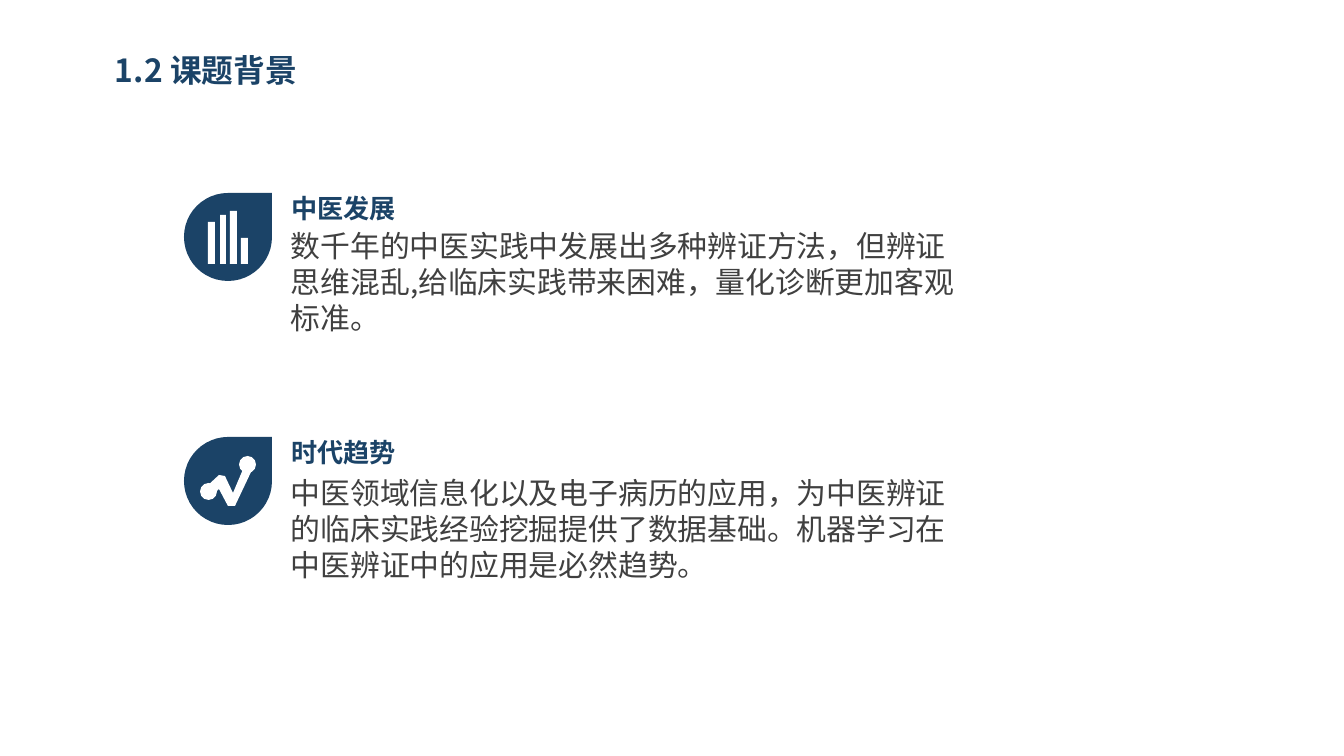
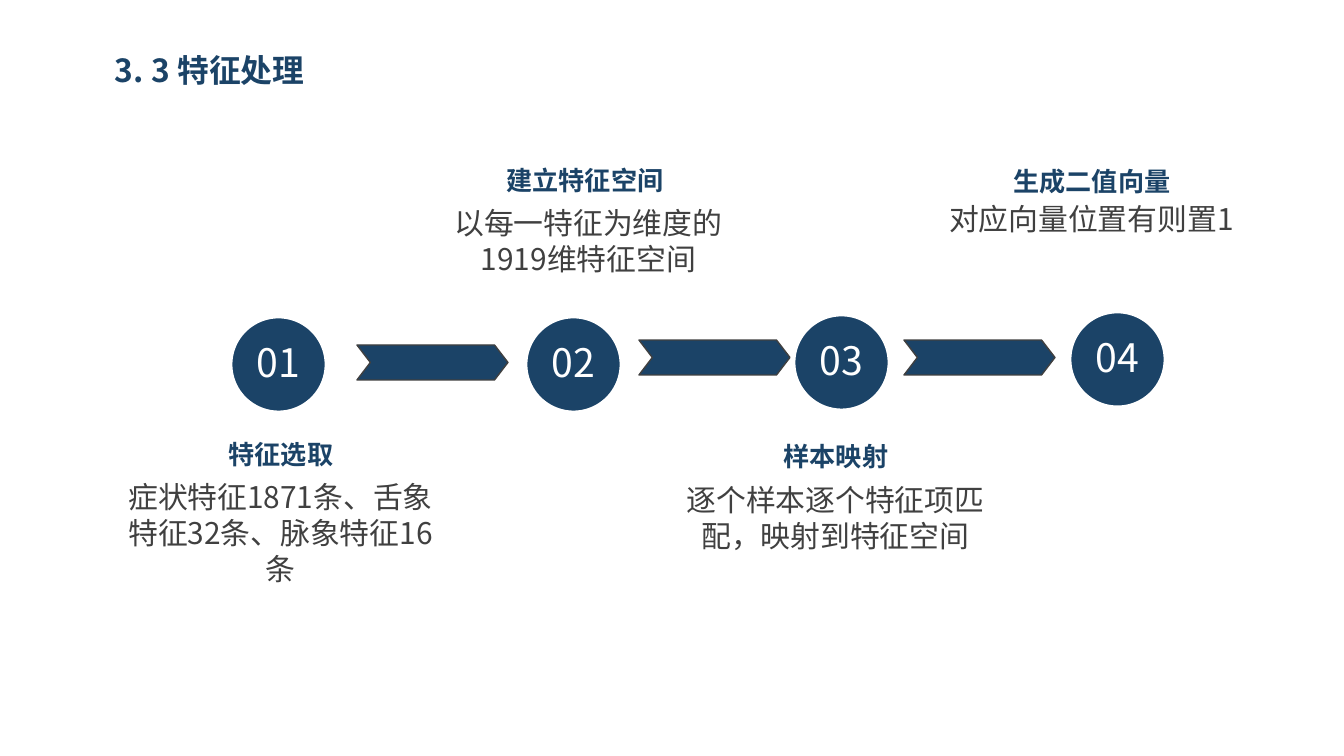
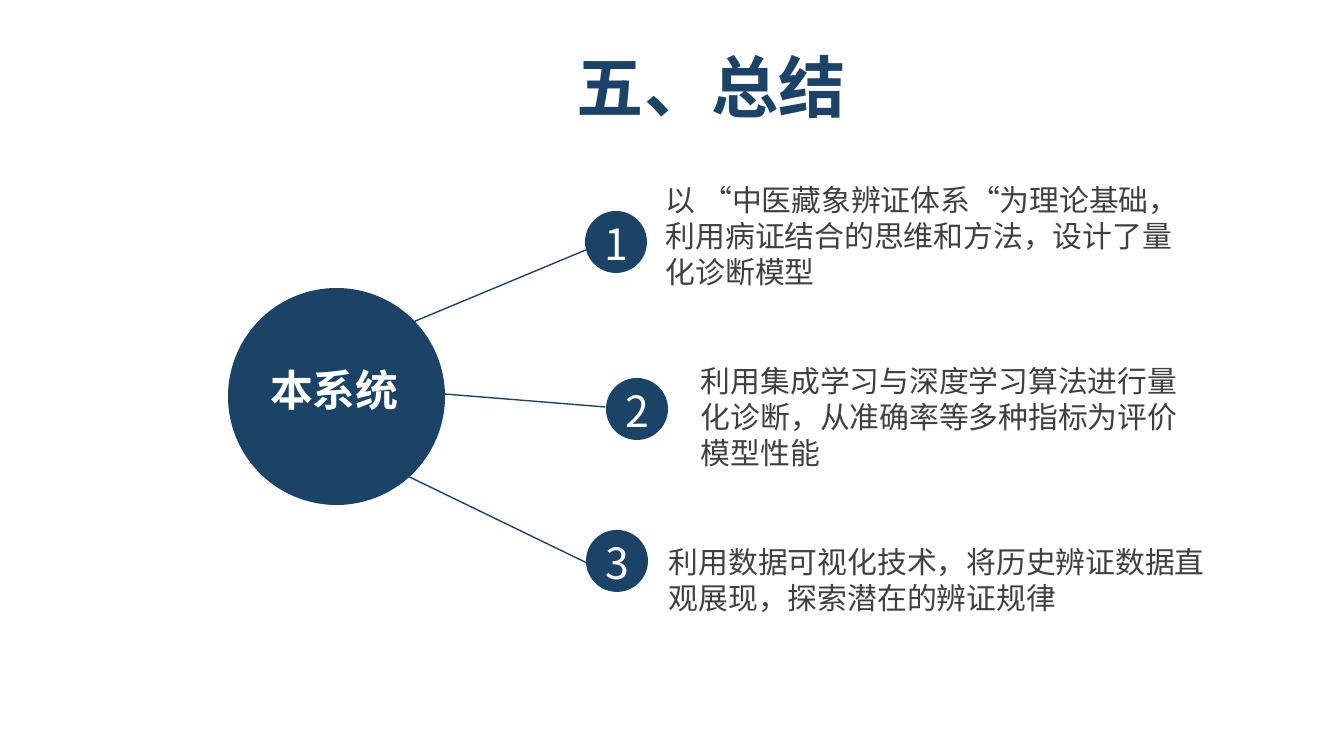
from dataclasses import dataclass
from lxml.etree import SubElement
from pptx import Presentation
from pptx.dml.color import RGBColor as Color
from pptx.enum.shapes import MSO_CONNECTOR as Link, MSO_SHAPE as Kind
from pptx.enum.text import MSO_ANCHOR as Anchor, PP_ALIGN as Align
from pptx.oxml.ns import qn
from pptx.util import Pt


@dataclass(frozen=True)
class Theme:
    font: str = "Noto Sans CJK SC"
    navy: str = "1B4367"
    grey: str = "404040"
    white: str = "FFFFFF"
    cover: int = 36
    mark: int = 23
    step: int = 21
    title: int = 17
    body: int = 16
    label: int = 14


theme = Theme()
SCALE = 914400 / 134.4
SNUG = (10, 5)
ROOMY = (13, 7)


def px(*sizes):
    return [round(size * SCALE) for size in sizes]


def shape(parts, kind, box, fill=theme.navy, line=None, width=0.75):
    item = parts.add_shape(kind, *px(*box))
    item.shadow.inherit = False
    item.fill.solid()
    item.fill.fore_color.rgb = Color.from_string(fill)
    if line:
        item.line.color.rgb = Color.from_string(line)
        item.line.width = Pt(width)
    else:
        item.line.fill.background()
    return item


def write(item, words, size, color, bold=False, align=Align.LEFT, pad=SNUG, wrap=True, lead=None):
    frame = item.text_frame
    frame.word_wrap = wrap
    frame.margin_left = frame.margin_right = px(pad[0])[0]
    frame.margin_top = frame.margin_bottom = px(pad[1])[0]
    para = frame.paragraphs[0]
    para.alignment = align
    if lead:
        para.line_spacing = lead
    run = para.add_run()
    run.text = words
    run.font.size = Pt(size)
    run.font.bold = bold
    run.font.color.rgb = Color.from_string(color)
    run.font.name = theme.font
    SubElement(run._r.get_or_add_rPr(), qn("a:ea"), typeface=theme.font)


def text(parts, box, words, size, color, **look):
    write(parts.add_textbox(*px(*box)), words, size, color, **look)


def title(slide, words):
    text(slide.shapes, (105, 46, 332, 48), words, theme.title, theme.navy, bold=True)


def bars(parts, left, top):
    for x, y, wide in ((24, 29, 7), (36, 22, 6), (46, 18, 7), (57, 45, 7)):
        shape(parts, Kind.RECTANGLE, (left + x, top + y, wide, 71 - y), theme.white)


def trend(parts, left, top):
    spots = ((22, 50), (35, 38), (41, 39), (49, 56), (60, 30),
             (68, 33), (51, 69), (44, 69), (35, 52), (28, 59))
    first, *rest = [(left + x, top + y) for x, y in spots]
    path = parts.build_freeform(*first, scale=SCALE)
    path.add_line_segments(rest, close=True)
    line = path.convert_to_shape()
    line.shadow.inherit = False
    line.fill.solid()
    line.fill.fore_color.rgb = Color.from_string(theme.white)
    line.line.fill.background()
    for x, y in ((16, 46), (55, 19)):
        shape(parts, Kind.OVAL, (left + x, top + y, 17, 17), theme.white)


def topic(slide, left, top, icon, head, words, drop):
    parts = slide.shapes.add_group_shape().shapes
    shape(parts, Kind.TEAR, (left, top, 88, 88))
    icon(parts, left, top)
    text(slide.shapes, (left + 97, top - 18, 293, 42), head,
         theme.label, theme.navy, bold=True, lead=1.4)
    text(slide.shapes, (left + 97, top + drop, 696, 133), words, theme.body, theme.grey)


def node(slide, left, top, number):
    disc = shape(slide.shapes, Kind.OVAL, (left, top, 95, 95), line=theme.white, width=1.5)
    disc.text_frame.vertical_anchor = Anchor.MIDDLE
    write(disc, number, theme.step, theme.white, align=Align.CENTER, pad=(0, 0), wrap=False, lead=0.9)


def note(slide, mid, left, top, drop, head, words):
    wide = 27 * len(head) + 24
    text(slide.shapes, (mid - wide / 2, top, wide, 42), head, theme.label, theme.navy,
         bold=True, align=Align.CENTER, wrap=False)
    text(slide.shapes, (left, top + drop, 333, 82), words, theme.body, theme.grey, align=Align.CENTER)


def arrow(slide, left, top):
    item = shape(slide.shapes, Kind.CHEVRON, (left, top, 151, 35), line=theme.grey)
    item.adjustments[0] = 0.384


def spoke(slide, *ends):
    line = slide.shapes.add_connector(Link.STRAIGHT, *px(*ends))
    line.line.color.rgb = Color.from_string(theme.navy)
    line.line.width = Pt(0.75)
    SubElement(line._element.spPr, qn("a:effectLst"))


def badge(slide, left, top, number):
    parts = slide.shapes.add_group_shape().shapes
    shape(parts, Kind.OVAL, (left, top, 62, 62))
    text(parts, (left + 1, top, 60, 66), number, theme.mark, theme.white,
         align=Align.CENTER, pad=ROOMY)


def hub(slide, left, top, words):
    parts = slide.shapes.add_group_shape().shapes
    shape(parts, Kind.OVAL, (left, top, 217, 217))
    text(parts, (left - 2, top + 69, 217, 66), words, theme.mark, theme.white,
         bold=True, align=Align.CENTER, pad=ROOMY)


def context(slide):
    title(slide, "1.2 课题背景")
    topic(slide, 184, 193, bars, "中医发展",
          "数千年的中医实践中发展出多种辨证方法，但辨证思维混乱,给临床实践带来困难，量化诊断更加客观标准。", 30)
    topic(slide, 184, 437, trend, "时代趋势",
          "中医领域信息化以及电子病历的应用，为中医辨证的临床实践经验挖掘提供了数据基础。机器学习在中医辨证中的应用是必然趋势。", 33)


def process(slide):
    title(slide, "3. 3 特征处理")
    nodes = ((231, 317), (526, 317), (794, 315), (1070, 312))
    for step, spot in enumerate(nodes, 1):
        node(slide, *spot, f"{step:02}")
    notes = (
        (281, 114, 433, 41, "特征选取", "症状特征1871条、舌象特征32条、脉象特征16条"),
        (585, 422, 159, 41, "建立特征空间", "以每一特征为维度的1919维特征空间"),
        (836, 669, 435, 42, "样本映射", "逐个样本逐个特征项匹配，映射到特征空间"),
        (1092, 925, 160, 36, "生成二值向量", "对应向量位置有则置1"),
    )
    for row in notes:
        note(slide, *row)
    for spot in ((357, 345), (639, 340), (904, 340)):
        arrow(slide, *spot)


def summary(slide):
    for ends in ((274, 380, 605, 242), (271, 380, 605, 407), (294, 421, 587, 563)):
        spoke(slide, *ends)
    points = (
        (585, 211, (656, 177, 539, 118),
         "以 “中医藏象辨证体系“为理论基础，利用病证结合的思维和方法，设计了量化诊断模型"),
        (606, 378, (691, 358, 520, 118),
         "利用集成学习与深度学习算法进行量化诊断，从准确率等多种指标为评价模型性能"),
        (586, 530, (659, 539, 566, 82),
         "利用数据可视化技术，将历史辨证数据直观展现，探索潜在的辨证规律"),
    )
    for rank, (left, top, box, words) in enumerate(points, 1):
        badge(slide, left, top, str(rank))
        text(slide.shapes, box, words, theme.body, theme.grey)
    hub(slide, 228, 288, "本系统")
    text(slide.shapes, (564, 38, 298, 95), "五、总结", theme.cover, theme.navy,
         bold=True, pad=ROOMY, wrap=False)


deck = Presentation()
deck.slide_width, deck.slide_height = px(1344, 756)
for build in (context, process, summary):
    build(deck.slides.add_slide(deck.slide_layouts[6]))
deck.save("out.pptx")
